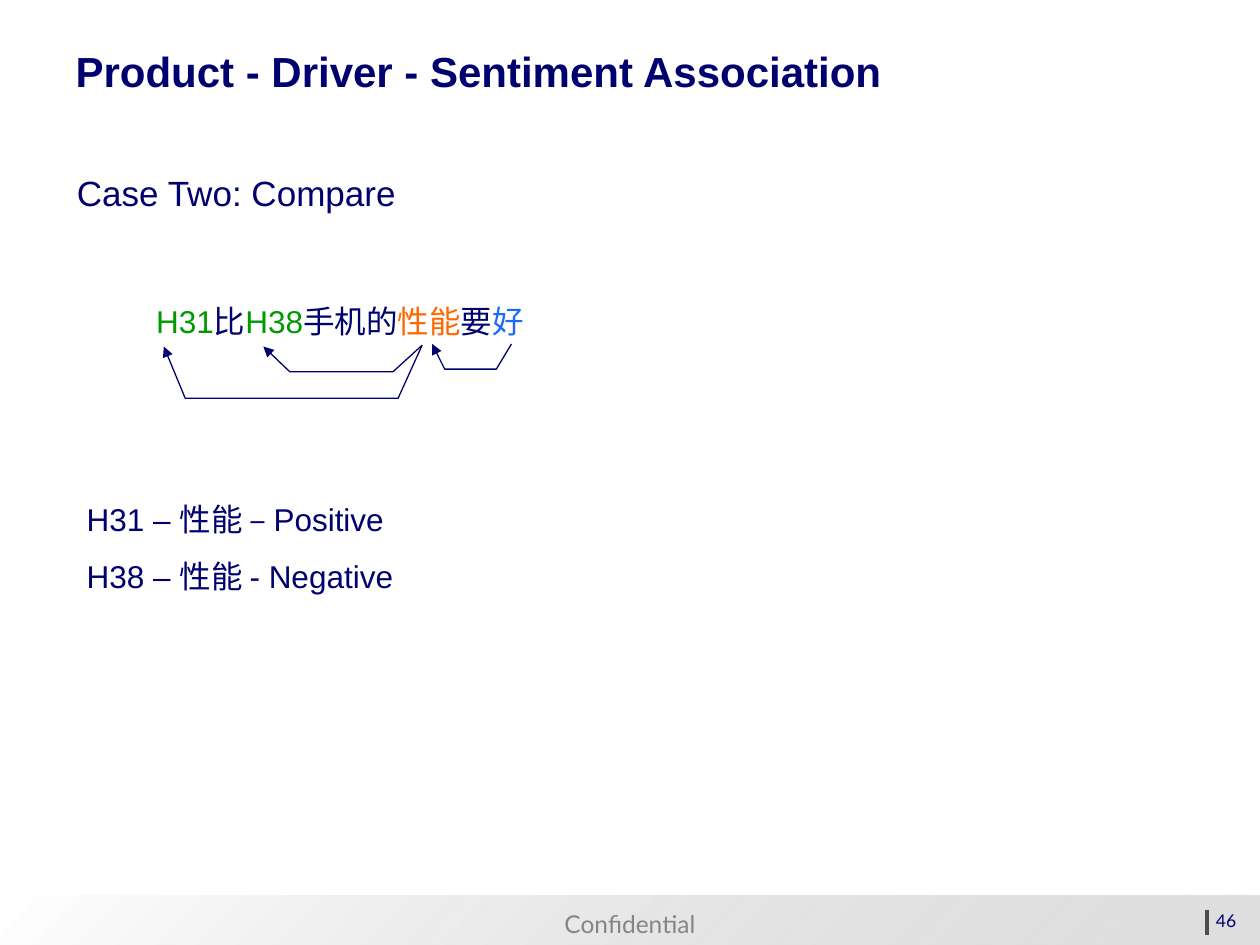
from typing import NamedTuple

from lxml.etree import SubElement
from pptx import Presentation
from pptx.dml.color import RGBColor
from pptx.enum.shapes import MSO_CONNECTOR, MSO_SHAPE
from pptx.enum.text import MSO_ANCHOR, MSO_AUTO_SIZE, PP_ALIGN
from pptx.oxml.ns import qn
from pptx.util import Inches, Pt

NAVY, GREEN, ORANGE, BLUE = "00006F", "009900", "FF6600", "1C69FC"
WINNER, LOSER = "H31", "H38"


class Box(NamedTuple):
    left: float
    top: float
    width: float
    height: float


class Run(NamedTuple):
    text: str
    color: str = NAVY


class Link(NamedTuple):
    points: list[tuple[float, float]]


FOOTER = Box(0, 7.11, 10, 0.39)
SENTENCE = [
    Run(WINNER, GREEN),
    Run("比"),
    Run(LOSER, GREEN),
    Run("手机的"),
    Run("性能", ORANGE),
    Run("要"),
    Run("好", BLUE),
]
RESULTS = [[Run(f"{WINNER} – 性能 – Positive")], [Run(f"{LOSER} – 性能 - Negative")]]
LINKS = [
    Link([(3.35, 2.74), (3.12, 2.95), (2.3, 2.95), (2.09, 2.75)]),
    Link([(3.35, 2.74), (3.16, 3.16), (1.47, 3.16), (1.3, 2.75)]),
    Link([(4.06, 2.73), (3.94, 2.93), (3.53, 2.93), (3.43, 2.73)]),
]


def rgb(value: str) -> RGBColor:
    return RGBColor.from_string(value)


def place(sp, box: Box) -> None:
    sp.left, sp.top, sp.width, sp.height = map(Inches, box)


def write(sp, paragraphs: list[list[Run]], size: float, font: str = "Arial",
          bold: bool = False, before: float = 0, align=PP_ALIGN.LEFT,
          anchor=MSO_ANCHOR.TOP, wrap: bool = True) -> None:
    tf = sp.text_frame
    tf.auto_size = MSO_AUTO_SIZE.NONE
    tf.word_wrap = wrap
    tf.vertical_anchor = anchor
    for i, runs in enumerate(paragraphs):
        p = tf.add_paragraph() if i else tf.paragraphs[0]
        p.alignment = align
        p.space_before = Pt(before)
        for run in runs:
            r = p.add_run()
            r.text = run.text
            r.font.size = Pt(size)
            r.font.name = font
            r.font.bold = bold
            r.font.color.rgb = rgb(run.color)


def add_text(s, box: Box, paragraphs: list[list[Run]], size: float, **style) -> None:
    sp = s.shapes.add_textbox(*map(Inches, box))
    write(sp, paragraphs, size, **style)


def add_footer(s) -> None:
    band = s.shapes.add_shape(MSO_SHAPE.RECTANGLE, *map(Inches, FOOTER))
    band.shadow.inherit = False
    band.line.fill.background()
    band.fill.gradient()
    band.fill.gradient_angle = 315
    for stop, position, color in zip(band.fill.gradient_stops, (0, 1), ("FFFFFF", "C0C0C0")):
        stop.position = position
        stop.color.rgb = rgb(color)
    gray = band._element.spPr.findall(".//" + qn("a:srgbClr"))[-1]
    SubElement(gray, qn("a:alpha"), val="50000")

    add_text(s, FOOTER, [[Run("Confidential", "858585")]], 14, font="Lato",
             align=PP_ALIGN.CENTER, anchor=MSO_ANCHOR.BOTTOM, wrap=False)
    rule = s.shapes.add_connector(MSO_CONNECTOR.STRAIGHT, Inches(9.58), Inches(7.22),
                                  Inches(9.58), Inches(7.42))
    rule.line.color.rgb = rgb("4D4D4D")
    rule.line.width = Pt(2)
    SubElement(rule._element.spPr, qn("a:effectLst"))
    add_text(s, Box(7.58, 7.17, 2.33, 0.28), [[Run("46")]], 10, font="Lato",
             align=PP_ALIGN.RIGHT)


def add_link(s, link: Link) -> None:
    start, *rest = [(Inches(x), Inches(y)) for x, y in link.points]
    builder = s.shapes.build_freeform(*start)
    builder.add_line_segments(rest, close=False)
    sp = builder.convert_to_shape()
    sp.shadow.inherit = False
    sp.fill.background()
    sp.line.color.rgb = rgb(NAVY)
    sp.line.width = Pt(0.75)
    SubElement(sp.line._get_or_add_ln(), qn("a:tailEnd"), type="triangle")


def main() -> None:
    prs = Presentation()
    prs.slide_width, prs.slide_height = Inches(10), Inches(7.5)
    s = prs.slides.add_slide(prs.slide_layouts[1])
    add_footer(s)

    title, body = s.shapes.title, s.placeholders[1]
    place(title, Box(0.5, 0.31, 9, 0.5))
    write(title, [[Run("Product - Driver - Sentiment Association")]], 24, bold=True,
          anchor=MSO_ANCHOR.MIDDLE)
    place(body, Box(0.51, 1.31, 8.81, 0.43))
    write(body, [[Run("Case Two: Compare")]], 20, before=12.5)
    pPr = body.text_frame.paragraphs[0]._p.get_or_add_pPr()
    pPr.set("marL", "0")
    pPr.set("indent", "0")
    SubElement(pPr, qn("a:buNone"))

    add_text(s, Box(1.14, 2.35, 3.78, 0.47), [SENTENCE], 18, before=4.5)
    for link in LINKS:
        add_link(s, link)
    add_text(s, Box(0.59, 3.92, 4.96, 0.86), RESULTS, 18, before=11.2)
    prs.save("out.pptx")


if __name__ == "__main__":
    main()
